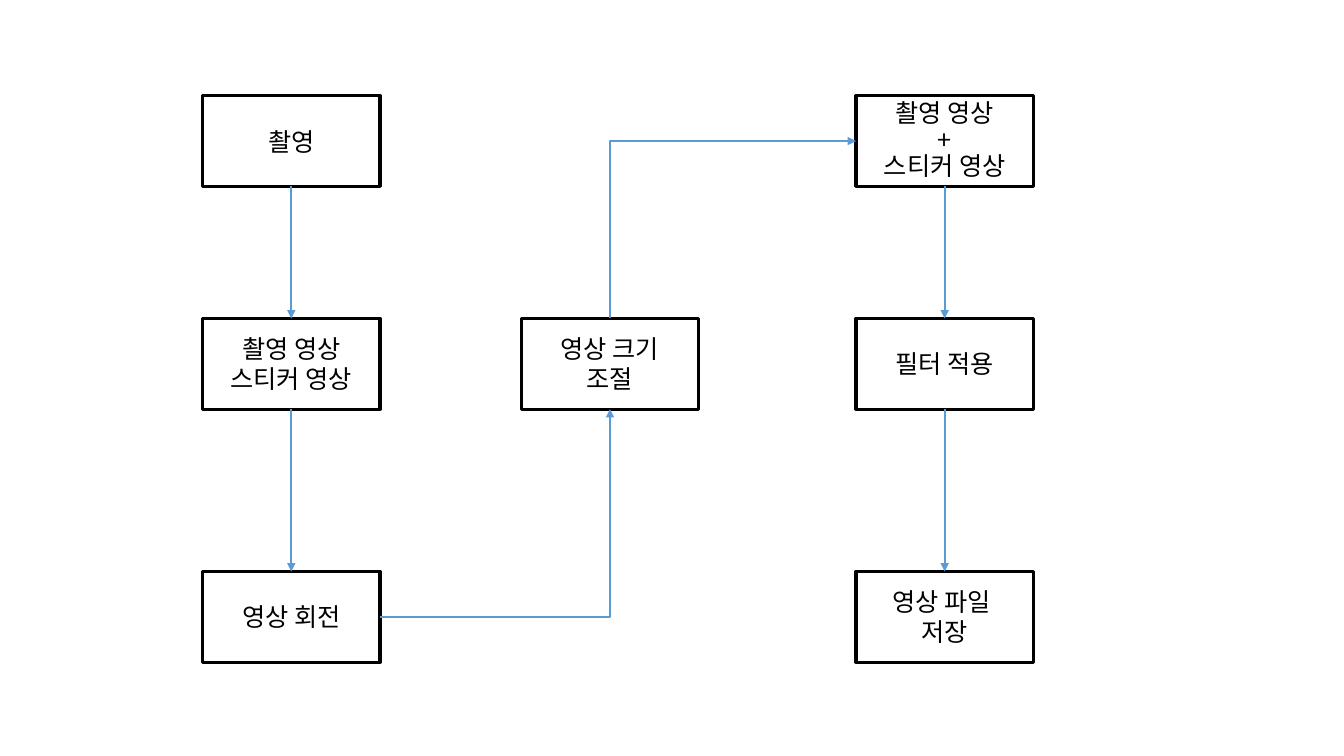
from dataclasses import dataclass

import pptx
import pptx.dml.color
import pptx.enum.shapes
import pptx.enum.text
import pptx.oxml
import pptx.oxml.ns
import pptx.util
from pptx.util import Inches

FONT = "Noto Sans CJK KR"
COLS = (2.01, 5.17, 8.49)
ROWS = (0.95, 3.16, 5.67)
WIDTH, HEIGHT = 1.76, 0.9
TOP, LEFT, BOTTOM, RIGHT = range(4)


@dataclass
class Step:
    name: str
    col: int
    row: int
    text: str
    pitch: float = 21.4


@dataclass
class Link:
    start: str
    out: int
    end: str
    into: int


STEPS = (
    Step("shoot", 0, 0, "촬영"),
    Step("clips", 0, 1, "촬영 영상\n스티커 영상"),
    Step("rotate", 0, 2, "영상 회전"),
    Step("resize", 1, 1, "영상 크기\n조절"),
    Step("merge", 2, 0, "촬영 영상\n+\n스티커 영상", pitch=19),
    Step("filter", 2, 1, "필터 적용"),
    Step("save", 2, 2, "영상 파일 \n저장"),
)
LINKS = (
    Link("shoot", BOTTOM, "clips", TOP),
    Link("clips", BOTTOM, "rotate", TOP),
    Link("merge", BOTTOM, "filter", TOP),
    Link("filter", BOTTOM, "save", TOP),
    Link("rotate", RIGHT, "resize", BOTTOM),
    Link("resize", TOP, "merge", LEFT),
)


def color(code: str) -> pptx.dml.color.RGBColor:
    return pptx.dml.color.RGBColor.from_string(code)


def add_xml(parent, tag: str, **attrs: str) -> None:
    """Append an empty DrawingML element with the given attributes."""
    child = pptx.oxml.parse_xml(f"<a:{tag} {pptx.oxml.ns.nsdecls('a')}/>")
    for key, value in attrs.items():
        child.set(key, value)
    parent.append(child)


def draw_step(slide, step: Step):
    box = slide.shapes.add_shape(
        pptx.enum.shapes.MSO_SHAPE.RECTANGLE,
        Inches(COLS[step.col]), Inches(ROWS[step.row]),
        Inches(WIDTH), Inches(HEIGHT))
    box.shadow.inherit = False
    box.fill.solid()
    box.fill.fore_color.rgb = color("FFFFFF")
    box.line.color.rgb = color("000000")
    box.line.width = pptx.util.Pt(2.25)
    frame = box.text_frame
    frame.text = step.text
    frame.margin_top = frame.margin_bottom = 0
    frame.vertical_anchor = pptx.enum.text.MSO_ANCHOR.MIDDLE
    for para in frame.paragraphs:
        para.alignment = pptx.enum.text.PP_ALIGN.CENTER
        para.line_spacing = pptx.util.Pt(step.pitch)
        for run in para.runs:
            run.font.size = pptx.util.Pt(18)
            run.font.color.rgb = color("000000")
            run.font.name = FONT
            add_xml(run.font._element, "ea", typeface=FONT)
    return box


def bend(line, out: int) -> None:
    """Give the connector one corner, leaving along the side it starts from."""
    props = line._element.spPr
    props.prstGeom.set("prst", "bentConnector2")
    if out == TOP:
        wide, high = line.width, line.height
        shift = (wide - high) // 2
        line.left, line.top = line.left + shift, line.top - shift
        line.width, line.height = high, wide
        for key, value in (("rot", "5400000"), ("flipH", "1"), ("flipV", "1")):
            props.xfrm.set(key, value)


def draw_link(slide, link: Link, boxes: dict) -> None:
    kinds = pptx.enum.shapes.MSO_CONNECTOR
    straight = (link.out, link.into) == (BOTTOM, TOP)
    line = slide.shapes.add_connector(
        kinds.STRAIGHT if straight else kinds.ELBOW, 0, 0, 0, 0)
    line.begin_connect(boxes[link.start], link.out)
    line.end_connect(boxes[link.end], link.into)
    if not straight:
        bend(line, link.out)
    line.line.color.rgb = color("5B9BD5")
    line.line.width = pptx.util.Pt(1.5)
    add_xml(line.line._get_or_add_ln(), "tailEnd", type="triangle")
    add_xml(line._element.spPr, "effectLst")


def main() -> None:
    deck = pptx.Presentation()
    deck.slide_width, deck.slide_height = Inches(13.33), Inches(7.5)
    slide = deck.slides.add_slide(deck.slide_layouts[6])
    boxes = {step.name: draw_step(slide, step) for step in STEPS}
    for link in LINKS:
        draw_link(slide, link, boxes)
    deck.save("out.pptx")


if __name__ == "__main__":
    main()
